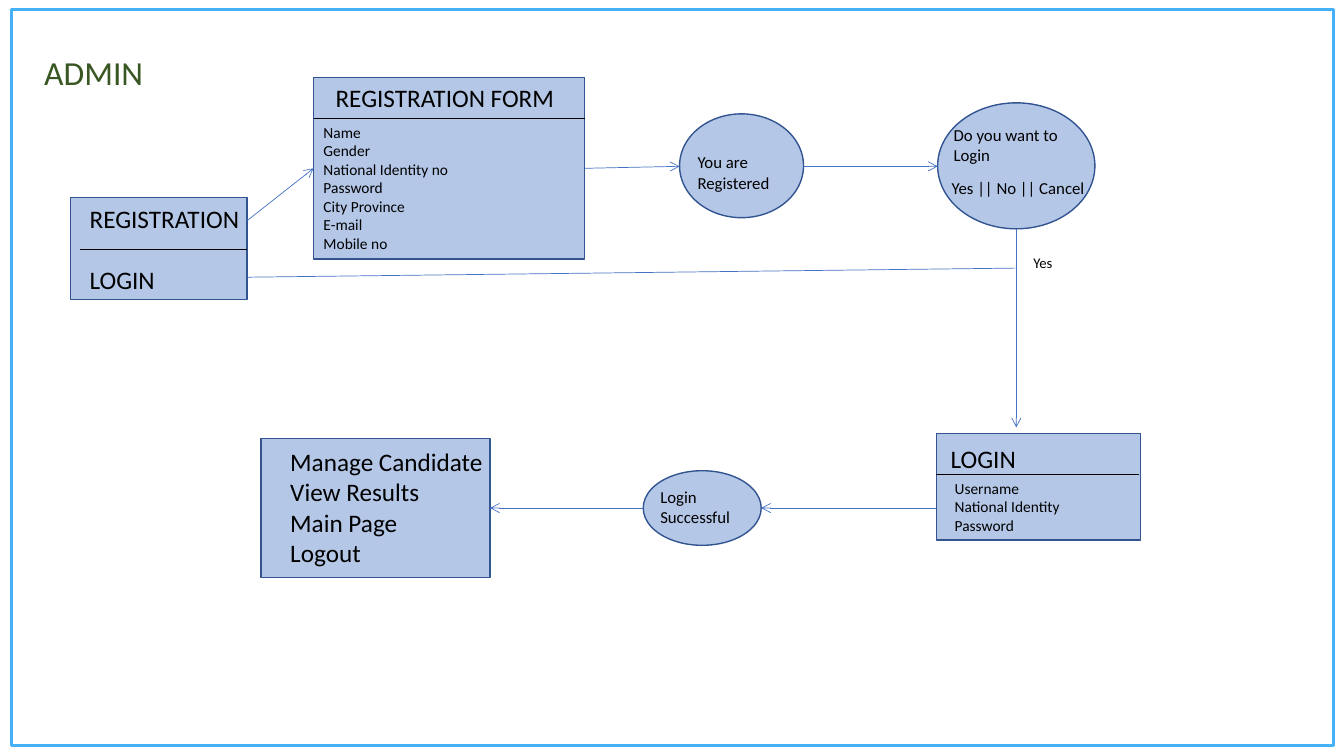
from dataclasses import dataclass

from lxml.etree import SubElement
from pptx import Presentation
from pptx.dml.color import RGBColor
from pptx.enum.shapes import MSO_CONNECTOR as Link, MSO_SHAPE as Kind
from pptx.oxml.ns import qn
from pptx.shapes.autoshape import Shape
from pptx.util import Inches, Pt

WHITE = RGBColor(0xFF, 0xFF, 0xFF)
SKY = RGBColor(0x46, 0xB0, 0xF9)
PALE = RGBColor(0xB4, 0xC7, 0xE7)
NAVY = RGBColor(0x32, 0x54, 0x91)
BLUE = RGBColor(0x44, 0x72, 0xC4)
GREEN = RGBColor(0x38, 0x57, 0x23)
BLACK = RGBColor(0, 0, 0)
LEFT, RIGHT = 1, 3


@dataclass
class Node:
    left: float
    top: float
    width: float
    height: float
    kind: Kind = Kind.RECTANGLE
    fill: RGBColor = PALE
    edge: RGBColor = NAVY
    weight: float = 1


@dataclass
class Label:
    text: str
    left: float
    top: float
    width: float
    height: float
    size: float
    color: RGBColor = BLACK
    gap: float = 0


@dataclass
class Line:
    x1: float
    y1: float
    x2: float
    y2: float
    color: RGBColor = BLUE
    arrow: bool = True
    start: str = ""
    end: str = ""


NODES = {
    "frame": Node(0.11, 0.09, 13.12, 7.31, fill=WHITE, edge=SKY, weight=2.25),
    "menu": Node(0.7, 1.96, 1.75, 1.01),
    "form": Node(3.11, 0.77, 2.69, 1.8),
    "registered": Node(6.74, 1.13, 1.23, 1.03, Kind.OVAL),
    "question": Node(9.3, 1.02, 1.56, 1.25, Kind.OVAL),
    "login": Node(9.29, 4.3, 2.02, 1.06),
    "success": Node(6.38, 4.67, 1.17, 0.74, Kind.OVAL),
    "tasks": Node(2.59, 4.35, 2.27, 1.38),
}

LABELS = [
    Label("ADMIN", 0.34, 0.47, 1.21, 0.5, 24, GREEN),
    Label("REGISTRATION\nLOGIN", 0.79, 1.97, 1.75, 1.01, 18, gap=21.6),
    Label("REGISTRATION FORM", 3.23, 0.77, 2.45, 0.4, 18),
    Label("Name\nGender\nNational Identity no\nPassword\nCity Province\n"
          "E-mail\nMobile no", 3.11, 1.17, 1.59, 1.4, 11),
    Label("You are Registered", 6.82, 1.46, 1.05, 0.5, 12),
    Label("Do you want to Login", 9.36, 1.19, 1.27, 0.5, 12),
    Label("Yes || No || Cancel", 9.34, 1.71, 2.05, 0.3, 12),
    Label("Yes", 10.15, 2.47, 0.67, 0.28, 10.5),
    Label("LOGIN", 9.33, 4.35, 1.15, 0.4, 18),
    Label("Username\nNational Identity\nPassword", 9.37, 4.7, 1.98, 0.66, 11),
    Label("Login Successful", 6.45, 4.78, 1.02, 0.5, 12),
    Label("Manage Candidate\nView Results\nMain Page\nLogout",
          2.78, 4.38, 2.61, 1.31, 18),
]

LINES = [
    Line(0.79, 2.47, 2.45, 2.47, BLACK, False),
    Line(3.11, 1.17, 5.8, 1.17, BLACK, False),
    Line(9.28, 4.71, 11.3, 4.71, BLACK, False),
    Line(2.45, 2.19, 3.11, 1.67, end="form"),
    Line(5.8, 1.67, 6.74, 1.65, start="form"),
    Line(7.97, 1.65, 9.3, 1.65),
    Line(10.08, 2.27, 10.08, 4.24),
    Line(2.45, 2.75, 10.07, 2.66, arrow=False),
    Line(9.28, 5.04, 7.55, 5.04),
    Line(6.38, 5.04, 4.86, 5.04, end="tasks"),
]


def add_node(shapes, node: Node) -> Shape:
    shape = shapes.add_shape(node.kind, Inches(node.left), Inches(node.top),
                             Inches(node.width), Inches(node.height))
    shape.shadow.inherit = False
    shape.fill.solid()
    shape.fill.fore_color.rgb = node.fill
    shape.line.color.rgb = node.edge
    shape.line.width = Pt(node.weight)
    return shape


def add_label(shapes, label: Label) -> None:
    box = shapes.add_textbox(Inches(label.left), Inches(label.top),
                             Inches(label.width), Inches(label.height))
    frame = box.text_frame
    frame.word_wrap = True
    frame.text = label.text
    for para in frame.paragraphs:
        if label.gap:
            para.space_after = Pt(label.gap)
        for run in para.runs:
            run.font.name = "Calibri"
            run.font.size = Pt(label.size)
            run.font.color.rgb = label.color


def add_line(shapes, line: Line, nodes: dict[str, Shape]) -> None:
    link = shapes.add_connector(Link.STRAIGHT, Inches(line.x1), Inches(line.y1),
                                Inches(line.x2), Inches(line.y2))
    link.line.color.rgb = line.color
    link.line.width = Pt(0.5)
    props = link._element.spPr
    if line.arrow:
        SubElement(props.find(qn("a:ln")), qn("a:tailEnd"), type="arrow")
    SubElement(props, qn("a:effectLst"))
    if line.start:
        link.begin_connect(nodes[line.start], RIGHT)
    if line.end:
        side = LEFT if line.x1 < line.x2 else RIGHT
        link.end_connect(nodes[line.end], side)


def main() -> None:
    deck = Presentation()
    deck.slide_width, deck.slide_height = Inches(13.33), Inches(7.5)
    shapes = deck.slides.add_slide(deck.slide_layouts[6]).shapes

    nodes = {name: add_node(shapes, node) for name, node in NODES.items()}
    for label in LABELS:
        add_label(shapes, label)
    for line in LINES:
        add_line(shapes, line, nodes)
    deck.save("out.pptx")


if __name__ == "__main__":
    main()
